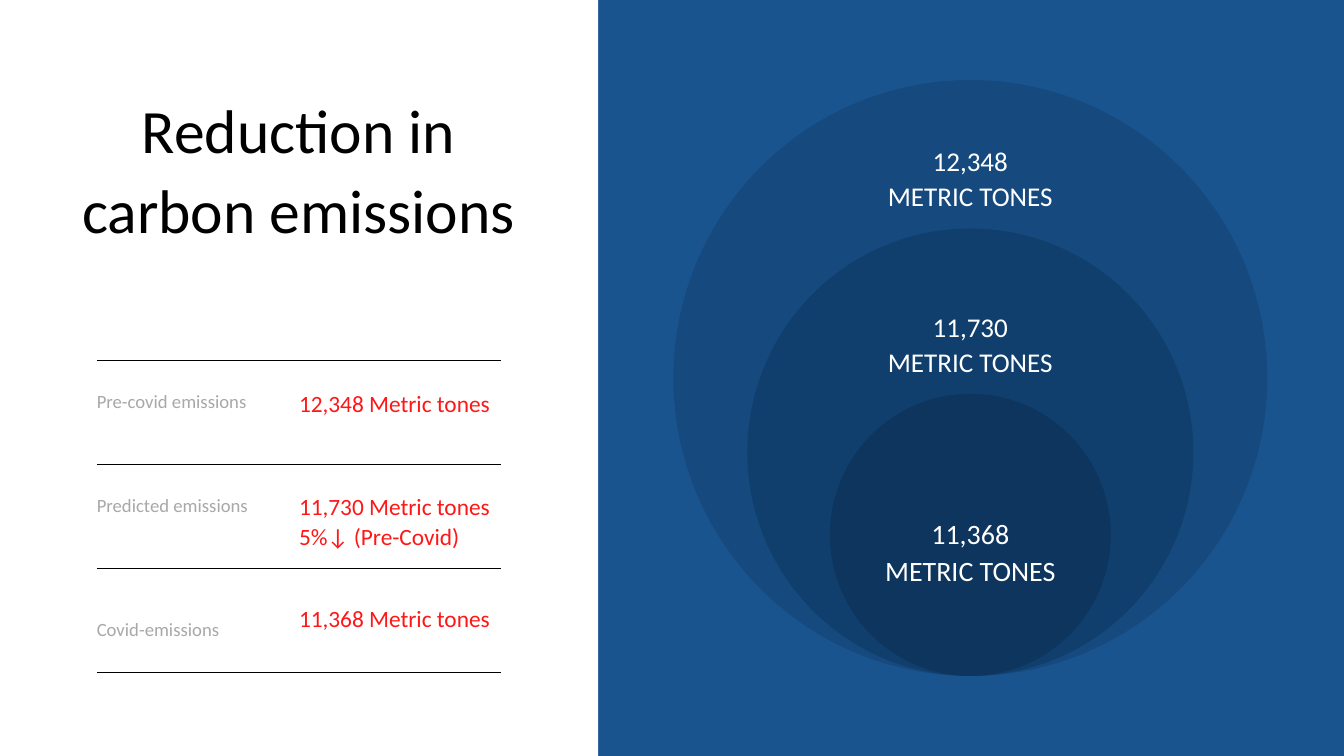
from lxml.etree import SubElement
from pptx import Presentation
from pptx.dml.color import RGBColor
from pptx.enum.shapes import MSO_CONNECTOR, MSO_SHAPE
from pptx.enum.text import PP_ALIGN
from pptx.oxml.ns import qn
from pptx.util import Emu, Pt

PX = 9144  # EMU in one px, 100 px to the inch
FONT = "Calibri"
WHITE, BLACK, GREY, RED = "FFFFFF", "000000", "A8A8A8", "FF1616"
BLUE, NAVY = "1A548F", "0D355D"


def px(length):
    return Emu(length * PX)


def color(hex_string):
    return RGBColor.from_string(hex_string)


class Canvas:
    def __init__(self, slide):
        self.slide = slide

    def background(self, fill):
        self.slide.background.fill.solid()
        self.slide.background.fill.fore_color.rgb = color(fill)

    def shape(self, kind, left, top, width, height, fill, opacity=100):
        shape = self.slide.shapes.add_shape(
            kind, px(left), px(top), px(width), px(height))
        shape.shadow.inherit = False
        shape.line.fill.background()
        shape.fill.solid()
        shape.fill.fore_color.rgb = color(fill)
        if opacity < 100:
            solid = shape.fill._xPr.find(qn("a:solidFill"))
            SubElement(solid[0], qn("a:alpha"), val=str(opacity * 1000))
        return shape

    def rule(self, left, right, y):
        line = self.slide.shapes.add_connector(
            MSO_CONNECTOR.STRAIGHT, px(left), px(y), px(right), px(y))
        line.line.color.rgb = color(BLACK)
        line.line.width = Pt(0.75)
        SubElement(line._element.spPr, qn("a:effectLst"))
        return line

    def text(self, text, left, top, width, height, *, size, fill,
             align=PP_ALIGN.LEFT):
        box = self.slide.shapes.add_textbox(
            px(left), px(top), px(width), px(height))
        frame = box.text_frame
        frame.word_wrap = True
        frame.margin_left = frame.margin_right = 0
        frame.margin_top = frame.margin_bottom = 0
        frame.text = text
        for paragraph in frame.paragraphs:
            paragraph.alignment = align
            paragraph.line_spacing = Pt(size * 1.3)
            paragraph.font.name = FONT
            paragraph.font.size = Pt(size)
            paragraph.font.color.rgb = color(fill)
        return box


def main():
    presentation = Presentation()
    presentation.slide_width, presentation.slide_height = px(2000), px(1125)
    canvas = Canvas(presentation.slides.add_slide(presentation.slide_layouts[6]))
    canvas.background(BLUE)

    # Nested circles resting on one base point, each with its label
    center, base = 1444, 1006
    circles = [
        # width, height, opacity, value, label top, label size
        (884, 887, 30, "12,348", 211, 29),
        (664, 666, 50, "11,730", 458, 29),
        (418, 420, 100, "11,368", 765, 30),
    ]
    for width, height, opacity, *_ in circles:
        canvas.shape(MSO_SHAPE.OVAL, center - width // 2, base - height,
                     width, height, NAVY, opacity)
    for *_, value, top, size in circles:
        canvas.text(f"{value}\nMETRIC TONES", center - 180, top, 360, 102,
                    size=size, fill=WHITE, align=PP_ALIGN.CENTER)

    # White panel with the title
    canvas.shape(MSO_SHAPE.RECTANGLE, 0, 0, 890, 1125, WHITE)
    canvas.text("Reduction in carbon emissions", 113, 128, 663, 356,
                size=66, fill=BLACK, align=PP_ALIGN.CENTER)

    # Ruled list of emissions
    for row in range(4):
        canvas.rule(144, 746, 536 + row * 155 - row // 3)
    rows = [
        # label, label top, value, value top
        ("Pre-covid emissions", 577, "12,348 Metric tones", 575),
        ("Predicted emissions", 732,
         "11,730 Metric tones\n5%↓ (Pre-Covid)", 729),
        ("Covid-emissions", 916, "11,368 Metric tones", 896),
    ]
    for label, label_top, value, value_top in rows:
        canvas.text(label, 144, label_top, 290, 36, size=20, fill=GREY)
        canvas.text(value, 445, value_top, 357, 45 * len(value.split("\n")),
                    size=25, fill=RED)

    presentation.save("out.pptx")


if __name__ == "__main__":
    main()
